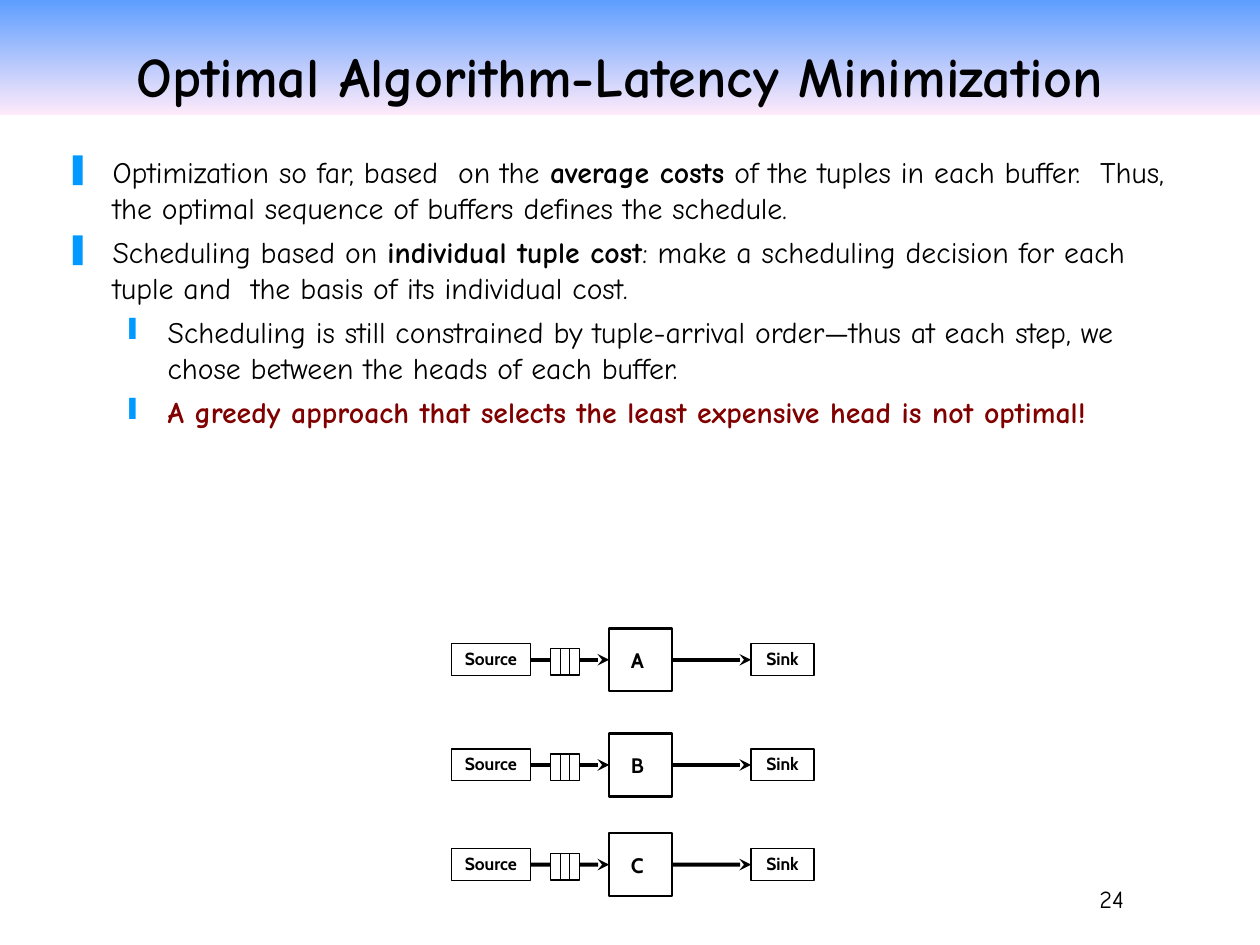
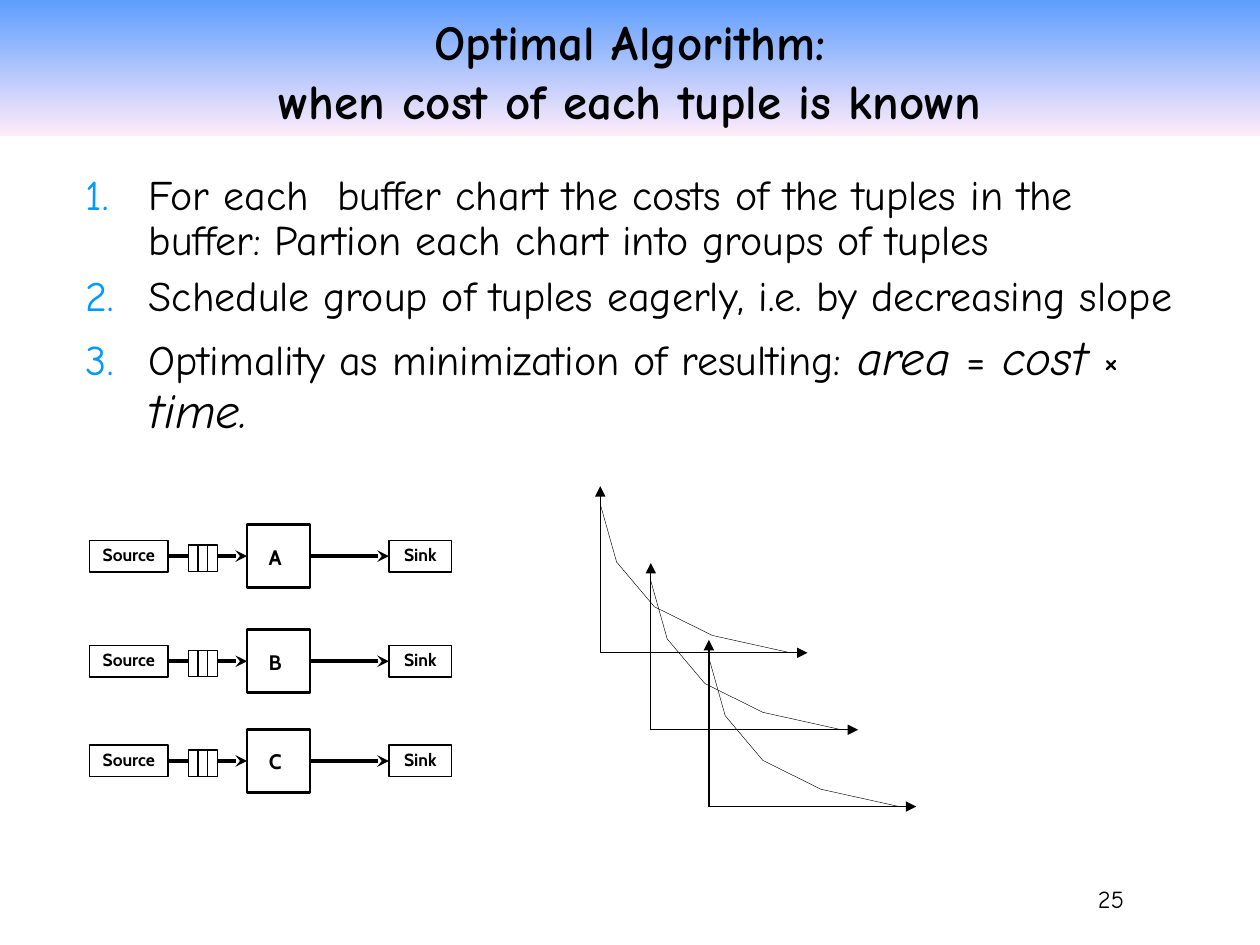
"""Build two slides on optimal tuple scheduling for latency minimization."""
import itertools

import pptx
import pptx.dml.color
import pptx.enum.shapes
import pptx.enum.text
import pptx.oxml
import pptx.oxml.ns
import pptx.util
from lxml import etree

Cm = pptx.util.Cm
Pt = pptx.util.Pt
RGBColor = pptx.dml.color.RGBColor
Align = pptx.enum.text.PP_ALIGN
Anchor = pptx.enum.text.MSO_ANCHOR
RECTANGLE = pptx.enum.shapes.MSO_SHAPE.RECTANGLE
STRAIGHT = pptx.enum.shapes.MSO_CONNECTOR.STRAIGHT

BLACK = RGBColor(0, 0, 0)
WHITE = RGBColor(0xFF, 0xFF, 0xFF)
BAND_TOP = RGBColor(0x5E, 0x9E, 0xFF)
BAND_BOTTOM = RGBColor(0xFF, 0xEB, 0xFA)
BULLET_BLUE = RGBColor(0x00, 0x99, 0xFF)
WARNING_RED = RGBColor(0x80, 0, 0)

TEXT_FONT = "Comic Neue"
DIAGRAM_FONT = "Cabin"
DEFAULT_INSETS = (0.25, 0.13, 0.25, 0.13)
BOX_INSETS = (0.08, 0.08, 0.08, 0.08)
PAGE_INSETS = (0.25, 0.13, 0, 0)

BOLD = {"bold": True}
FORMULA = {"size": Pt(28), "italic": True}

BAR = {"bullet": '<a:buChar {} char="❚"/>', "indent": 0.95, "hanging": 0.95, "level": 0,
       "space_before": Pt(5), "line_spacing": None}
THIN_BAR = BAR | {"bullet": '<a:buChar {} char="❙"/>', "indent": 2.06, "hanging": 0.79, "level": 1}
NUMBER = {"bullet": '<a:buAutoNum {} type="arabicPeriod"/>', "indent": 1.27, "hanging": 1.27,
          "level": 0, "space_before": Pt(6), "line_spacing": 0.9}

SLIDES = [
    {
        "page": "24",
        "title": "Optimal Algorithm-Latency Minimization ",
        "title_size": 32,
        "band_height": 2.33,
        "body_at": (1.07, 2.97),
        "body_size": 17,
        "points": [
            (BAR, [("Optimization so far, based  on the ", {}), ("average costs", BOLD),
                   (" of the tuples in each buffer.  Thus, the optimal sequence of buffers "
                    "defines the schedule.", {})]),
            (BAR, [("Scheduling based on ", {}), ("individual tuple cost", BOLD),
                   (": make a scheduling decision for each tuple and  the basis of its "
                    "individual cost.", {})]),
            (THIN_BAR, [("Scheduling is still constrained by tuple-arrival order—thus at each "
                         "step, we chose between the heads of each buffer.", {})]),
            (THIN_BAR, [("A greedy approach that selects the least expensive head is not "
                         "optimal!", {"bold": True, "color": WARNING_RED})]),
        ],
        "pipelines_at": (9.1, 13.3),
        "chart_origins": [],
    },
    {
        "page": "25",
        "title": "Optimal Algorithm:\vwhen cost of each tuple is known",
        "title_size": 28,
        "band_height": 2.74,
        "body_at": (1.48, 3.38),
        "body_size": 24,
        "points": [
            (NUMBER, [("For each  buffer chart the costs of the tuples in the buffer: Partion "
                       "each chart into groups of tuples", {})]),
            (NUMBER, [("Schedule group of tuples eagerly, i.e. by decreasing slope", {})]),
            (NUMBER | {"space_before": Pt(7)},
             [("Optimality as minimization of resulting:", {}), (" ", {"size": Pt(28)}),
              ("area ", FORMULA), ("=", {}), (" cost ", FORMULA), ("×", {}),
              (" time.", FORMULA)]),
        ],
        "pipelines_at": (1.8, 11.21),
        "chart_origins": [(12.1, 13.16), (13.12, 14.71), (14.29, 16.26)],
    },
]

OPERATORS = [("A", 0), ("B", 2.12), ("C", 4.13)]
BOX_HEIGHT = 0.64
SOURCE_WIDTH = 1.59
OPERATOR_LEFT, OPERATOR_SIDE = 3.18, 1.27
LABEL_LEFT, LABEL_WIDTH = 3.28, 0.94
SINK_LEFT, SINK_WIDTH = 6.04, 1.27
BUFFER_LEFT, BUFFER_WIDTH, BUFFER_HEIGHT, BUFFER_RISE = 2.0, 0.58, 0.53, 0.22
BUFFER_CELLS = 3

TIME_AXIS, COST_AXIS = 4.18, 3.36
COST_CURVE = [(0, -3), (0.33, -1.83), (1.09, -0.93), (2.26, -0.35), (3.84, 0)]


def set_values(target, values):
    """Set each named value as an attribute of the target."""
    for name, value in values.items():
        setattr(target, name, value)


def add_runs(paragraph, runs, base):
    """Append runs whose formats extend the base format."""
    for text, changes in runs:
        run = paragraph.add_run()
        run.text = text
        values = base | changes
        run.font.color.rgb = values.pop("color")
        set_values(run.font, values)


def text_format(size, name=TEXT_FONT, bold=False):
    """Return the base format of a black run."""
    return {"size": Pt(size), "name": name, "bold": bold, "italic": False, "color": BLACK}


def prepare_frame(frame, anchor=Anchor.TOP, insets=DEFAULT_INSETS):
    """Set wrapping, anchor and insets."""
    sides = ("margin_left", "margin_top", "margin_right", "margin_bottom")
    set_values(frame, {"word_wrap": True, "vertical_anchor": anchor})
    set_values(frame, dict(zip(sides, map(Cm, insets))))


def add_line_of_text(frame, text, base, alignment):
    """Write one paragraph with breaks at vertical tabs."""
    paragraph = frame.paragraphs[0]
    paragraph.alignment = alignment
    for index, part in enumerate(text.split("\v")):
        if index:
            paragraph.add_line_break()
        add_runs(paragraph, [(part, {})], base)


def add_box(slide, left, top, width, height, line_width=0.75, text="", size=10):
    """Add a white rectangle, with an outline unless its width is zero."""
    box = slide.shapes.add_shape(RECTANGLE, Cm(left), Cm(top), Cm(width), Cm(height))
    box.shadow.inherit = False
    box.fill.solid()
    box.fill.fore_color.rgb = WHITE
    if line_width:
        box.line.color.rgb = BLACK
        box.line.width = Pt(line_width)
    else:
        box.line.fill.background()
    if text:
        prepare_frame(box.text_frame, insets=BOX_INSETS)
        add_line_of_text(box.text_frame, text, text_format(size, DIAGRAM_FONT, True), Align.CENTER)
    return box


def add_line(slide, start, end, width, arrowhead=None):
    """Add a black line between two points."""
    line = slide.shapes.add_connector(STRAIGHT, *map(Cm, (*start, *end)))
    line.line.color.rgb = BLACK
    line.line.width = Pt(width)
    properties = line._element.spPr
    qn = pptx.oxml.ns.qn
    if arrowhead:
        etree.SubElement(properties.find(qn("a:ln")), qn("a:tailEnd"), type=arrowhead)
    etree.SubElement(properties, qn("a:effectLst"))
    return line


def add_flow(slide, origin, target):
    """Join the right side of one box to the left side of the next."""
    arrow = add_line(slide, (0, 0), (1, 1), 2.25, "stealth")
    arrow.begin_connect(origin, 3)
    arrow.end_connect(target, 1)


def add_title_band(slide, content):
    """Add the gradient band that holds the title."""
    band = slide.shapes.add_shape(RECTANGLE, 0, 0, Cm(25.4), Cm(content["band_height"]))
    band.shadow.inherit = False
    band.line.fill.background()
    band.fill.gradient()
    band.fill.gradient_angle = 270
    for stop, color in zip(band.fill.gradient_stops, (BAND_TOP, BAND_BOTTOM)):
        stop.color.rgb = color
    prepare_frame(band.text_frame, Anchor.BOTTOM)
    add_line_of_text(band.text_frame, content["title"],
                     text_format(content["title_size"], bold=True), Align.CENTER)


def add_page_number(slide, page):
    """Add the page number at the lower right."""
    footer = slide.shapes.add_textbox(Cm(19.69), Cm(17.15), Cm(2.97), Cm(1.27))
    prepare_frame(footer.text_frame, Anchor.BOTTOM, PAGE_INSETS)
    add_line_of_text(footer.text_frame, page, text_format(14), Align.RIGHT)


def add_points(slide, content):
    """Add the bulleted or numbered body text."""
    left, top = content["body_at"]
    body = slide.shapes.add_textbox(Cm(left), Cm(top), Cm(22.71), Cm(6.71))
    frame = body.text_frame
    prepare_frame(frame)
    namespace = pptx.oxml.ns.nsdecls("a")
    for index, (style, runs) in enumerate(content["points"]):
        paragraph = frame.add_paragraph() if index else frame.paragraphs[0]
        properties = paragraph._p.get_or_add_pPr()
        properties.set("marL", str(Cm(style["indent"])))
        properties.set("indent", str(-Cm(style["hanging"])))
        color = f'<a:buClr {namespace}><a:srgbClr val="{BULLET_BLUE}"/></a:buClr>'
        for markup in (color, style["bullet"].format(namespace)):
            properties.append(pptx.oxml.parse_xml(markup))
        set_values(paragraph, {"level": style["level"], "line_spacing": style["line_spacing"],
                               "space_before": style["space_before"] if index else Pt(0)})
        add_runs(paragraph, runs, text_format(content["body_size"]))


def add_pipeline(slide, left, middle, operator_name):
    """Add a source, a buffer, an operator and a sink along one row."""
    top = middle - BOX_HEIGHT / 2
    source = add_box(slide, left, top, SOURCE_WIDTH, BOX_HEIGHT, text="Source")
    operator = add_box(slide, left + OPERATOR_LEFT, middle - OPERATOR_SIDE / 2,
                       OPERATOR_SIDE, OPERATOR_SIDE, 1.5)
    add_box(slide, left + LABEL_LEFT, top, LABEL_WIDTH, BOX_HEIGHT, 0, operator_name, 12)
    sink = add_box(slide, left + SINK_LEFT, top, SINK_WIDTH, BOX_HEIGHT, text="Sink")
    add_flow(slide, source, operator)
    add_flow(slide, operator, sink)
    buffer_left, buffer_top = left + BUFFER_LEFT, middle - BUFFER_RISE
    add_box(slide, buffer_left, buffer_top, BUFFER_WIDTH, BUFFER_HEIGHT)
    for cell in range(1, BUFFER_CELLS):
        x = buffer_left + BUFFER_WIDTH * cell / BUFFER_CELLS
        add_line(slide, (x, buffer_top), (x, buffer_top + BUFFER_HEIGHT), 0.75)


def add_cost_chart(slide, x, y):
    """Add two axes and a falling cost curve from the given origin."""
    for end in ((x + TIME_AXIS, y), (x, y - COST_AXIS)):
        add_line(slide, (x, y), end, 0.75, "triangle")
    curve = [(x + across, y + up) for across, up in COST_CURVE]
    for start, end in itertools.pairwise(curve):
        add_line(slide, start, end, 0.25)


def main():
    """Build and save the slides."""
    deck = pptx.Presentation()
    deck.slide_width, deck.slide_height = Cm(25.4), Cm(19.05)
    for content in SLIDES:
        slide = deck.slides.add_slide(deck.slide_layouts[6])
        add_page_number(slide, content["page"])
        add_title_band(slide, content)
        add_points(slide, content)
        left, first_row = content["pipelines_at"]
        for operator_name, drop in OPERATORS:
            add_pipeline(slide, left, first_row + drop, operator_name)
        for x, y in content["chart_origins"]:
            add_cost_chart(slide, x, y)
    deck.save("out.pptx")


if __name__ == "__main__":
    main()
